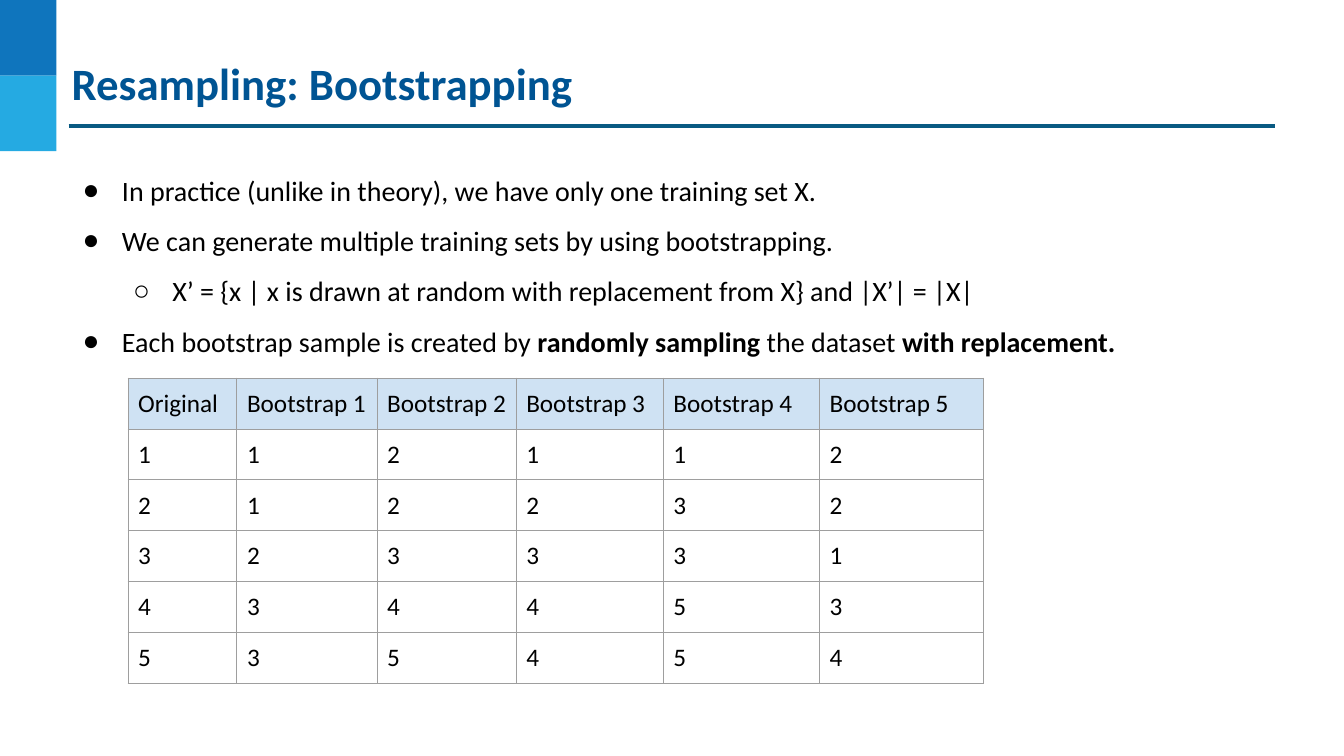
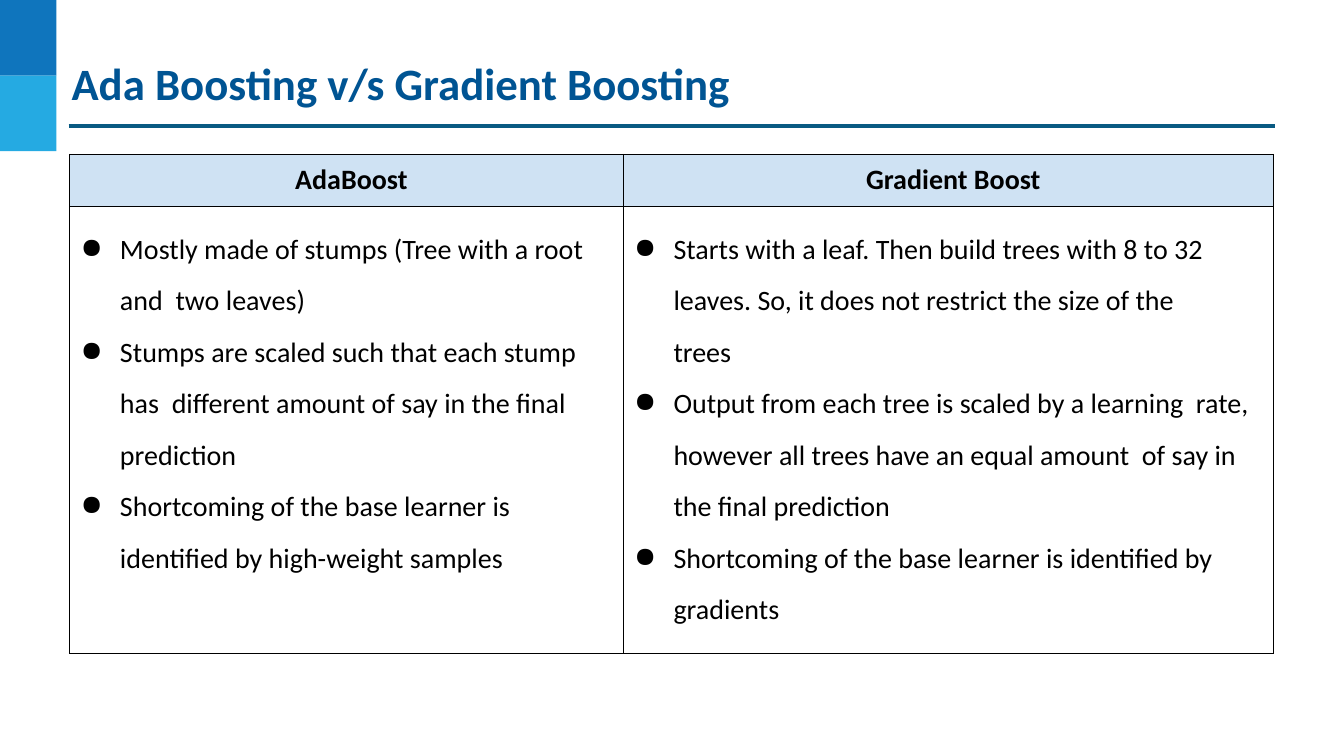
import dataclasses

import lxml.etree
import pptx
import pptx.dml.color
import pptx.enum.shapes
import pptx.enum.text
import pptx.oxml.ns
import pptx.util

COLORS = {
    "title": "005493",
    "text": "000000",
    "upper band": "0F75BD",
    "lower band": "25AAE2",
    "rule": "095A82",
    "header": "CFE2F3",
    "grid": "9E9E9E",
}
FONT = "Calibri"
PX = 9144
BULLETS = "●○"


@dataclasses.dataclass
class Item:
    """One list entry; every second part of the text between asterisks is bold."""

    text: str
    level: int = 0
    right: int = 0


def px(*lengths):
    """Turn px into EMU."""
    return [pptx.util.Emu(length * PX) for length in lengths]


def rgb(name):
    """Look up a colour by its role."""
    return pptx.dml.color.RGBColor.from_string(COLORS[name])


def add_element(parent, tag, **attributes):
    """Append a DrawingML element."""
    name = pptx.oxml.ns.qn("a:" + tag)
    return lxml.etree.SubElement(parent, name, attributes)


class Deck:
    """The shared slide style and the current slide."""

    def __init__(self):
        """Open an empty widescreen presentation."""
        self.deck = pptx.Presentation()
        self.deck.slide_width, self.deck.slide_height = px(1333, 750)
        self.page = None

    def add_page(self, title, layout):
        """Start a slide with its bands, rule and title."""
        self.page = self.deck.slides.add_slide(self.deck.slide_layouts[layout])
        self.add_band(0, "upper band")
        self.add_band(75, "lower band")
        self.add_rule(68, 1265, 125)
        box = self.page.shapes.title
        self.place(box, 69, 53, 1229, 83, 2)
        para = box.text_frame.paragraphs[0]
        para.text = title
        para.alignment = pptx.enum.text.PP_ALIGN.LEFT
        self.style(para, 32, "title", True)

    def add_band(self, top, color):
        """Draw one block at the left edge."""
        kind = pptx.enum.shapes.MSO_SHAPE.RECTANGLE
        band = self.page.shapes.add_shape(kind, *px(0, top, 56, 75))
        band.shadow.inherit = False
        band.fill.solid()
        band.fill.fore_color.rgb = rgb(color)
        band.line.fill.background()

    def add_rule(self, left, right, top):
        """Draw the line under the title."""
        kind = pptx.enum.shapes.MSO_CONNECTOR.STRAIGHT
        rule = self.page.shapes.add_connector(kind, *px(left, top, right, top))
        rule.line.color.rgb = rgb("rule")
        rule.line.width = pptx.util.Pt(2.25)
        add_element(rule._element.spPr, "effectLst")

    def place(self, box, left, top, width, height, inset):
        """Move a placeholder and set up its text frame."""
        box.left, box.top, box.width, box.height = px(left, top, width, height)
        frame = box.text_frame
        frame.word_wrap = True
        frame.auto_size = pptx.enum.text.MSO_AUTO_SIZE.NONE
        frame.vertical_anchor = pptx.enum.text.MSO_ANCHOR.TOP
        self.set_margins(frame, [inset] * 4)

    def set_margins(self, target, margins):
        """Set left, top, right and bottom margins of a frame or cell."""
        (target.margin_left, target.margin_top,
         target.margin_right, target.margin_bottom) = px(*margins)

    def style(self, para, size, color="text", bold=None):
        """Set the font of a whole paragraph."""
        font = para.font
        font.name = FONT
        font.size = pptx.util.Pt(size)
        font.color.rgb = rgb(color)
        font.bold = bold

    def add_body(self, left, top, width, height, items):
        """Fill the body placeholder with a list."""
        box = self.page.placeholders[1]
        self.place(box, left, top, width, height, 10)
        self.write_list(box.text_frame, items)

    def write_list(self, frame, items):
        """Write bulleted paragraphs into a text frame."""
        for index, item in enumerate(items):
            para = frame.add_paragraph() if index else frame.paragraphs[0]
            para.level = item.level
            para.line_spacing = 1.5
            para.space_before = pptx.util.Pt(0)
            indent, hanging, right = px(50 * (item.level + 1), -39, item.right)
            props = para._p.get_or_add_pPr()
            props.set("marL", str(indent))
            props.set("marR", str(right))
            props.set("indent", str(hanging))
            color = add_element(props, "buClr")
            add_element(color, "srgbClr", val=COLORS["text"])
            add_element(props, "buChar", char=BULLETS[item.level])
            self.style(para, 20)
            for part, text in enumerate(item.text.split("*")):
                if text:
                    span = para.add_run()
                    span.text = text
                    span.font.bold = part % 2 == 1

    def add_table(self, left, top, widths, heights, border, margins):
        """Add a bordered table with a tinted header row."""
        size = sum(widths), sum(heights)
        frame = self.page.shapes.add_table(
            len(heights), len(widths), *px(left, top, *size))
        table = frame.table
        table.first_row = table.horz_banding = False
        for column, width in zip(table.columns, px(*widths)):
            column.width = width
        for row, height in zip(table.rows, px(*heights)):
            row.height = height
        for index, cell in enumerate(table.iter_cells()):
            self.set_margins(cell, margins)
            self.add_borders(cell, border)
            if index < len(widths):
                cell.fill.solid()
                cell.fill.fore_color.rgb = rgb("header")
            else:
                cell.fill.background()
        return table

    def add_borders(self, cell, color):
        """Line all four sides of a cell."""
        props = cell._tc.get_or_add_tcPr()
        for side in "LRTB":
            line = add_element(props, "ln" + side, w=str(pptx.util.Pt(0.75)))
            fill = add_element(line, "solidFill")
            add_element(fill, "srgbClr", val=COLORS[color])

    def add_grid(self, left, top, widths, height, rows):
        """Add a table of short plain values."""
        table = self.add_table(
            left, top, widths, [height] * len(rows), "grid", [10] * 4)
        values = [value for row in rows for value in row]
        for cell, value in zip(table.iter_cells(), values):
            para = cell.text_frame.paragraphs[0]
            para.text = str(value)
            self.style(para, 18)

    def add_comparison(self, left, top, widths, heights, columns):
        """Add a table with one headed list per column."""
        table = self.add_table(
            left, top, widths, heights, "text", [0, 9, 0, 0])
        for index, (heading, items) in enumerate(columns.items()):
            para = table.cell(0, index).text_frame.paragraphs[0]
            para.text = heading
            para.alignment = pptx.enum.text.PP_ALIGN.CENTER
            para._p.get_or_add_pPr().set("marL", str(10 * PX))
            self.style(para, 20, bold=True)
            self.write_list(table.cell(1, index).text_frame, items)

    def save(self):
        """Save the presentation."""
        self.deck.save("out.pptx")


def main():
    """Build both slides."""
    deck = Deck()

    deck.add_page("Resampling: Bootstrapping", 1)
    deck.add_body(61, 145, 1197, 225, [
        Item("In practice (unlike in theory), we have only one training set X."),
        Item("We can generate multiple training sets by using bootstrapping."),
        Item("X’ = {x | x is drawn at random with replacement from X} "
             "and |X’| = |X|", level=1),
        Item("Each bootstrap sample is created by *randomly sampling* "
             "the dataset *with replacement.*"),
    ])
    header = ["Original"] + [f"Bootstrap {number}" for number in range(1, 6)]
    deck.add_grid(127, 375, [108, 139, 138, 146, 155, 162], 50, [
        header,
        [1, 1, 2, 1, 1, 2],
        [2, 1, 2, 2, 3, 2],
        [3, 2, 3, 3, 3, 1],
        [4, 3, 4, 4, 5, 3],
        [5, 3, 5, 4, 5, 4],
    ])

    deck.add_page("Ada Boosting v/s Gradient Boosting", 5)
    deck.add_comparison(69, 153, [549, 645], [52, 443], {
        "AdaBoost": [
            Item("Mostly made of stumps (Tree with a root and  two leaves)",
                 right=10),
            Item("Stumps are scaled such that each stump has  different amount "
                 "of say in the final prediction", right=10),
            Item("Shortcoming of the base learner is identified by "
                 "high-weight samples", right=10),
        ],
        "Gradient Boost": [
            Item("Starts with a leaf. Then build trees with 8 to 32 leaves. "
                 "So, it does not restrict the size of the  trees", right=50),
            Item("Output from each tree is scaled by a learning  rate, however "
                 "all trees have an equal amount  of say in the final "
                 "prediction", right=10),
            Item("Shortcoming of the base learner is identified by gradients",
                 right=10),
        ],
    })
    deck.save()


if __name__ == "__main__":
    main()
